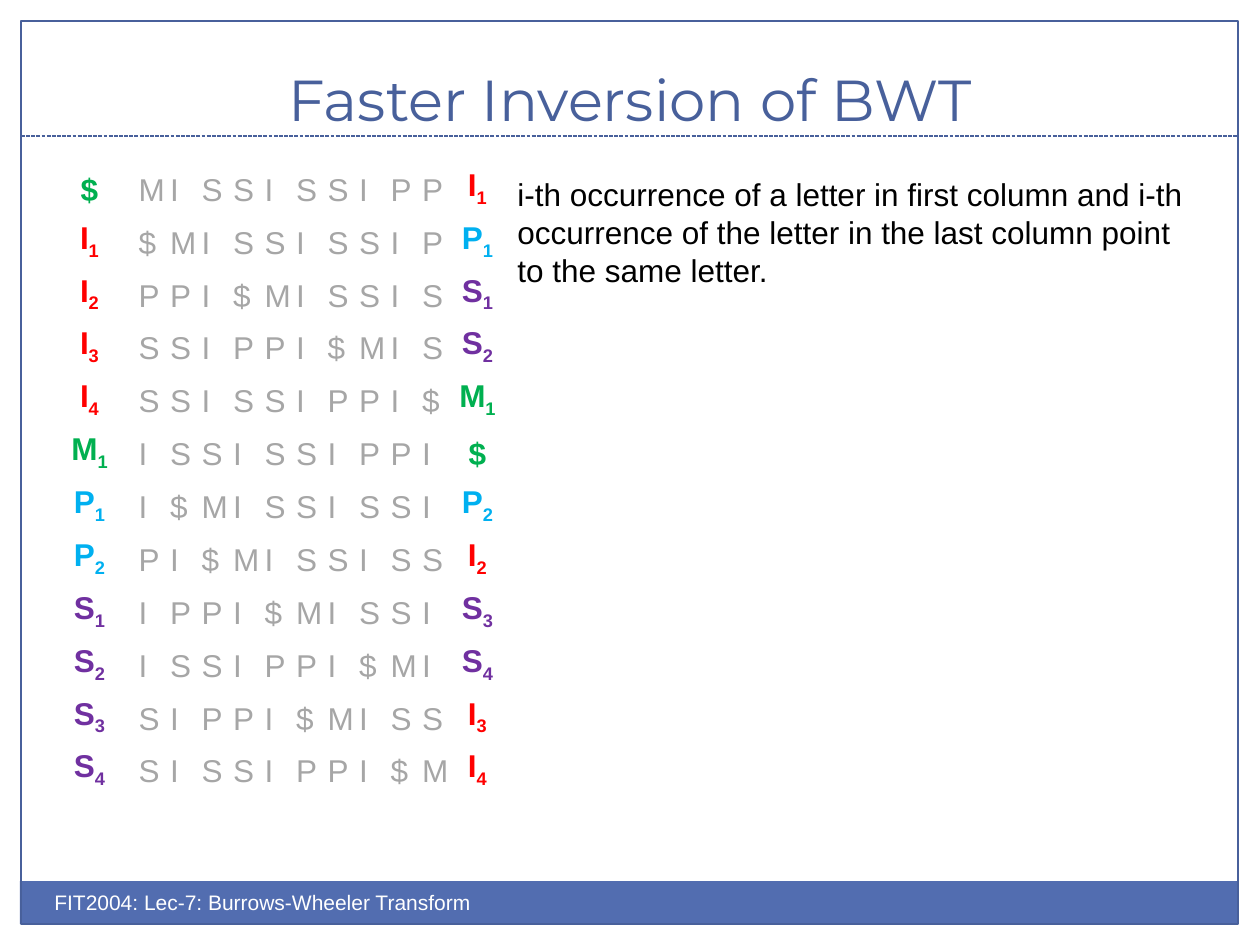
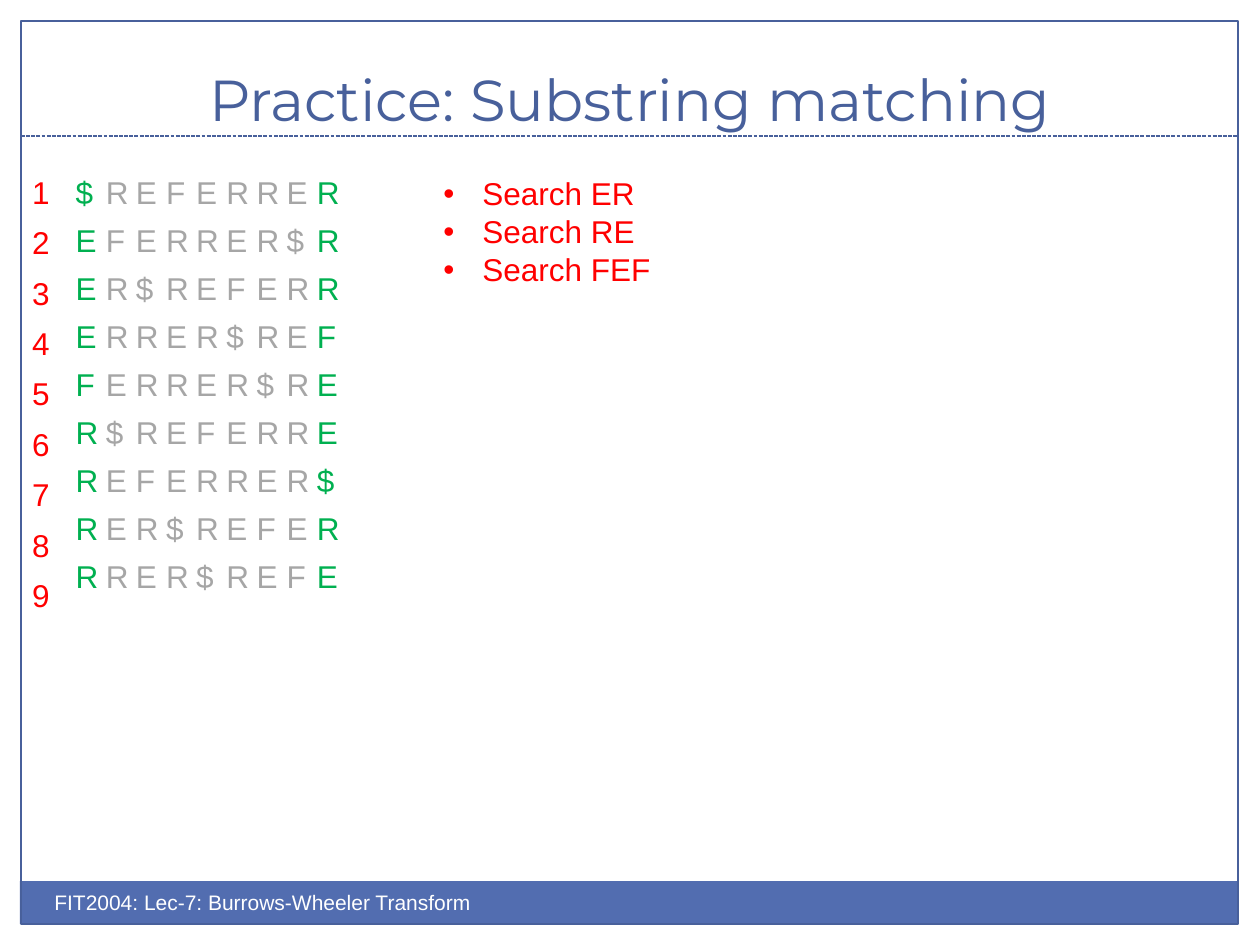
from collections import Counter

from lxml import etree
from pptx import Presentation
from pptx.dml.color import RGBColor
from pptx.enum import dml, shapes, text
from pptx.oxml.ns import qn
from pptx.util import Emu, Pt

SCALE = 914400 / 126
BLUE, BAND, WHITE, BLACK = "48609B", "526DB0", "FFFFFF", "000000"
GREY, GREEN, RED = "A6A6A6", "00B050", "FF0000"
TINTS = {"$": GREEN, "M": GREEN, "I": RED, "P": "00B0F0", "S": "7030A0"}
PLAIN = "{2D5ABB26-0587-4C30-8999-92F81FD0307C}"
LINE = 1.206
FOOT = "FIT2004: Lec-7: Burrows-Wheeler Transform"
RULE = ("i-th occurrence of a letter in first column and i-th occurrence "
        "of the letter in the last column point to the same letter.")


def px(*sizes):
    return [Emu(round(size * SCALE)) for size in sizes]


def paint(color, value):
    color.rgb = RGBColor.from_string(value)


def apply(item, values):
    for key, value in values.items():
        setattr(item, key, value)


def write(para, words, color, size=18, bold=False, face="Arial"):
    run = para.add_run()
    run.text = words
    apply(run.font, {"size": Pt(size), "bold": bold, "name": face})
    paint(run.font.color, color)
    return run


def add_text(slide, box, lines, color, size=18, bullet=False):
    frame = slide.shapes.add_textbox(*px(*box)).text_frame
    frame.word_wrap = True
    for row, words in enumerate(lines):
        para = frame.paragraphs[0] if row == 0 else frame.add_paragraph()
        para.line_spacing = Pt(round(size * LINE, 1))
        write(para, words, color, size)
        if bullet:
            add_dot(para)


def add_dot(para):
    props = para._p.get_or_add_pPr()
    dent = px(39)[0]
    props.set("marL", str(dent))
    props.set("indent", str(-dent))
    etree.SubElement(props, qn("a:buFont"), typeface="Arial")
    etree.SubElement(props, qn("a:buChar"), char="•")


def add_box(slide, box, fill=None, line=None):
    shape = slide.shapes.add_shape(shapes.MSO_SHAPE.RECTANGLE, *px(*box))
    shape.shadow.inherit = False
    if fill:
        shape.fill.solid()
        paint(shape.fill.fore_color, fill)
    else:
        shape.fill.background()
    if line:
        paint(shape.line.color, line)
        shape.line.width = Pt(0.75)
    else:
        shape.line.fill.background()


def add_rule(slide, ends):
    rule = slide.shapes.add_connector(shapes.MSO_CONNECTOR.STRAIGHT, *px(*ends))
    etree.SubElement(rule._element.spPr, qn("a:effectLst"))
    paint(rule.line.color, BLUE)
    apply(rule.line, {"width": Pt(0.75),
                      "dash_style": dml.MSO_LINE.SQUARE_DOT})


def add_slide(deck, name):
    slide = deck.slides.add_slide(deck.slide_layouts[5])
    add_box(slide, (20, 881, 1217, 43), fill=BAND)
    add_box(slide, (21, 21, 1217, 903), line=BLUE)
    add_rule(slide, (21, 136, 1238, 136))
    title = slide.shapes.title
    spots = ("left", "top", "width", "height")
    apply(title, dict(zip(spots, px(42, 32, 1176, 104))))
    frame = title.text_frame
    apply(frame, {"vertical_anchor": text.MSO_ANCHOR.BOTTOM,
                  "auto_size": text.MSO_AUTO_SIZE.NONE,
                  "margin_bottom": px(3)[0]})
    para = frame.paragraphs[0]
    para.alignment = text.PP_ALIGN.CENTER
    write(para, name, BLUE, 33, face="Montserrat")
    add_text(slide, (42, 883, 630, 50), [FOOT], WHITE, 12)
    return slide


def add_grid(slide, box, rows, edge=None):
    count = len(rows[0])
    table = slide.shapes.add_table(len(rows), count, *px(*box)).table
    apply(table, {"first_row": False, "horz_banding": False})
    table._tbl.tblPr.find(qn("a:tableStyleId")).text = PLAIN
    if edge:
        inner = (box[2] - 2 * edge) / (count - 2)
        for spot, col in enumerate(table.columns):
            col.width = px(edge if spot in (0, count - 1) else inner)[0]
    top, foot = px(5, 4)
    for row, marks in enumerate(rows):
        for col, mark in enumerate(marks):
            cell = table.cell(row, col)
            cell.fill.background()
            apply(cell, {"margin_top": top, "margin_bottom": foot})
            fill_cell(cell.text_frame.paragraphs[0], *mark)


def fill_cell(para, words, color, bold=False, rank=""):
    apply(para, {"alignment": text.PP_ALIGN.CENTER,
                 "line_spacing": Pt(round(18 * LINE, 1))})
    write(para, words, color, bold=bold)
    if rank:
        low = write(para, rank, color, bold=bold)
        low.font._element.set("baseline", "-25000")


def rotate(word):
    return sorted(word[spot:] + word[:spot] for spot in range(len(word)))


def rank_ends(turns):
    first, last = Counter(), Counter()

    def mark(char, seen):
        seen[char] += 1
        rank = "" if char == "$" else str(seen[char])
        return char, TINTS[char], True, rank

    return [[mark(turn[0], first),
             *((char, GREY) for char in turn[1:-1]),
             mark(turn[-1], last)] for turn in turns]


def tint_ends(turns):
    return [[(turn[0], GREEN),
             *((char, GREY) for char in turn[1:-1]),
             (turn[-1], GREEN)] for turn in turns]


def main():
    deck = Presentation()
    deck.slide_width, deck.slide_height = px(1260, 945)

    slide = add_slide(deck, "Faster Inversion of BWT")
    turns = rotate("MISSISSIPPI$")
    add_grid(slide, (53, 165, 461, 635), rank_ends(turns), edge=73)
    add_text(slide, (505, 169, 712, 630), [RULE], BLACK)

    slide = add_slide(deck, "Practice: Substring matching")
    turns = rotate("REFERRER$")
    add_grid(slide, (63, 168, 271, 432), tint_ends(turns))
    tasks = [f"Search {part}" for part in ("ER", "RE", "FEF")]
    add_text(slide, (431, 168, 630, 127), tasks, RED, bullet=True)
    ranks = [[(str(row), RED)] for row in range(1, len(turns) + 1)]
    add_grid(slide, (0, 168, 82, 454), ranks)

    deck.save("out.pptx")


if __name__ == "__main__":
    main()
